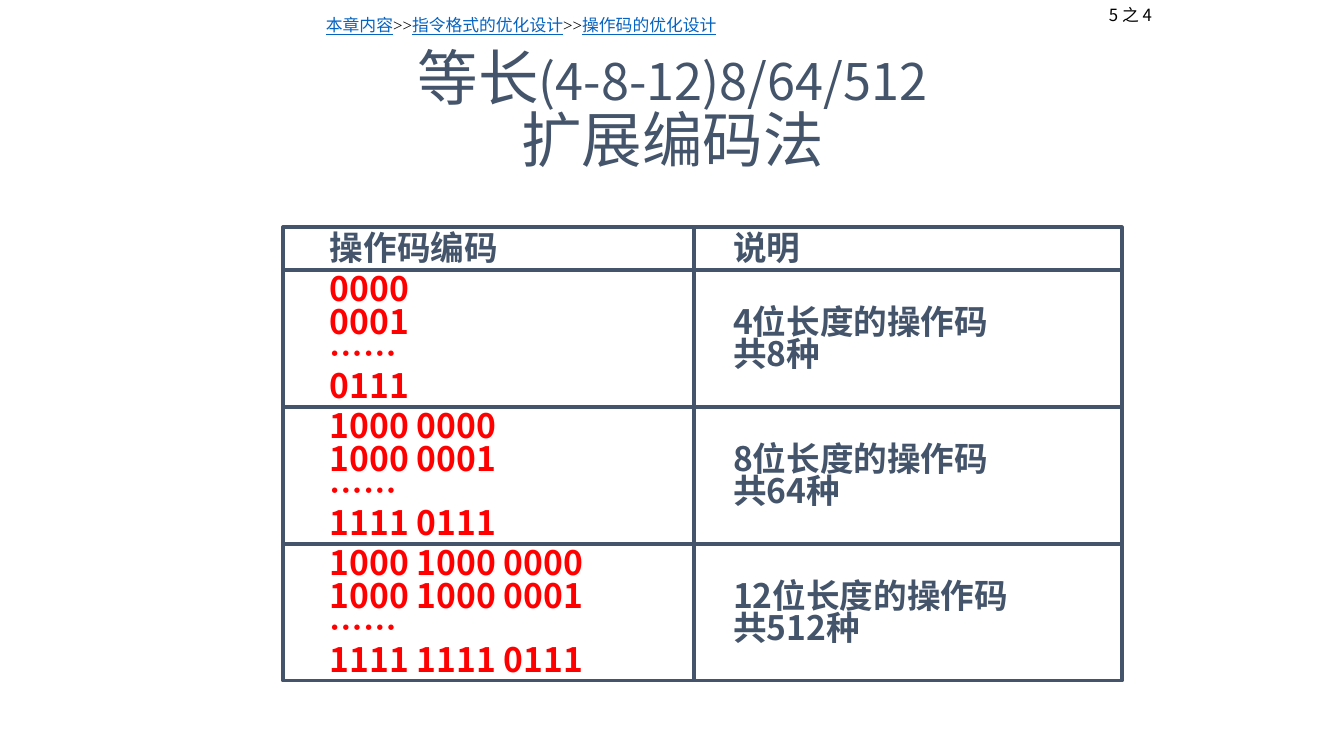
from lxml import etree
from pptx import Presentation
from pptx.dml.color import RGBColor
from pptx.enum.shapes import MSO_SHAPE
from pptx.enum.text import MSO_ANCHOR, PP_ALIGN
from pptx.oxml.ns import qn
from pptx.util import Emu, Pt

RECT = MSO_SHAPE.RECTANGLE
MIDDLE = MSO_ANCHOR.MIDDLE
TOP = MSO_ANCHOR.TOP
LEFT = PP_ALIGN.LEFT
CENTER = PP_ALIGN.CENTER
SANS = "Noto Sans CJK SC"
SERIF = "Times New Roman"
SLATE, RED, LINK, BLACK = "44546A", "FF0000", "0563C1", "000000"
WIDE, HIGH = 1344, 756


def px(count):
    return Emu(round(count * 914400 / 100.8))


def color(code):
    return RGBColor.from_string(code)


class Deck:
    """Draw styled elements on the current slide."""

    def __init__(self):
        self.show = Presentation()
        self.show.slide_width, self.show.slide_height = px(WIDE), px(HIGH)
        self.slide = self.show.slides.add_slide(self.show.slide_layouts[6])

    def style(self, par, size, code, face=SANS, bold=False):
        font = par.font
        font.name, font.size, font.bold = face, Pt(size), bold
        font.color.rgb = color(code)
        props = par._p.get_or_add_pPr().find(qn("a:defRPr"))
        etree.SubElement(props, qn("a:ea")).set("typeface", SANS)

    def text(self, box, size, code, face=SANS, align=LEFT, anchor=TOP):
        frame = self.slide.shapes.add_textbox(*map(px, box)).text_frame
        frame.word_wrap, frame.vertical_anchor = True, anchor
        par = frame.paragraphs[0]
        par.alignment = align
        self.style(par, size, code, face)
        return par

    def trail(self, box, steps):
        par = self.text(box, 12, BLACK, SERIF)
        for index, step in enumerate(steps):
            if index:
                par.add_run().text = ">>"
            run = par.add_run()
            run.text = step
            run.font.underline = True
            run.font.color.rgb = color(LINK)

    def title(self, box, lead, range_text, tail):
        par = self.text(box, 43.2, SLATE, align=CENTER, anchor=MIDDLE)
        par.line_spacing = 0.85
        par.add_run().text = lead
        run = par.add_run()
        run.text = range_text
        run.font.size = Pt(36)
        par.add_line_break()
        par.add_run().text = tail

    def cell(self, box, lines, code, inset):
        shape = self.slide.shapes.add_shape(RECT, *map(px, box))
        shape.shadow.inherit = False
        shape.fill.background()
        shape.line.color.rgb = color(SLATE)
        shape.line.width = Pt(2.25)
        frame = shape.text_frame
        frame.word_wrap, frame.vertical_anchor = False, MIDDLE
        frame.margin_left, frame.margin_right = px(inset), px(4)
        frame.margin_top, frame.margin_bottom = px(4), 0
        frame.text = "\n".join(lines)
        for par in frame.paragraphs:
            par.alignment, par.line_spacing = LEFT, 0.8
            self.style(par, 24, code, bold=True)

    def grid(self, left, top, widths, heights, rows):
        middle = left + widths[0]
        for index, (codes, notes) in enumerate(rows):
            tall = heights[index]
            self.cell((left, top, widths[0], tall), codes,
                      RED if index else SLATE, 47)
            self.cell((middle, top, widths[1], tall), notes, SLATE, 39)
            top += tall


def main():
    deck = Deck()
    deck.trail((316, 10, 835, 30),
               ("本章内容", "指令格式的优化设计", "操作码的优化设计"))
    deck.title((93, 40, 1159, 146), "等长", "(4-8-12)8/64/512", "扩展编码法")
    groups = (
        (4, 8, ("0000", "0001", "0111")),
        (8, 64, ("1000 0000", "1000 0001", "1111 0111")),
        (12, 512, ("1000 1000 0000", "1000 1000 0001", "1111 1111 0111")),
    )
    rows = [(("操作码编码",), ("说明",))]
    for bits, count, (first, second, last) in groups:
        rows.append(((first, second, "……", last),
                     (f"{bits}位长度的操作码", f"共{count}种")))
    deck.grid(283, 227, (411, 428), (43, 137, 137, 137), rows)
    page = deck.text((1084, 0, 93, 30), 12, BLACK, align=CENTER)
    page.add_run().text = "5 之 4"
    deck.show.save("out.pptx")


if __name__ == "__main__":
    main()
